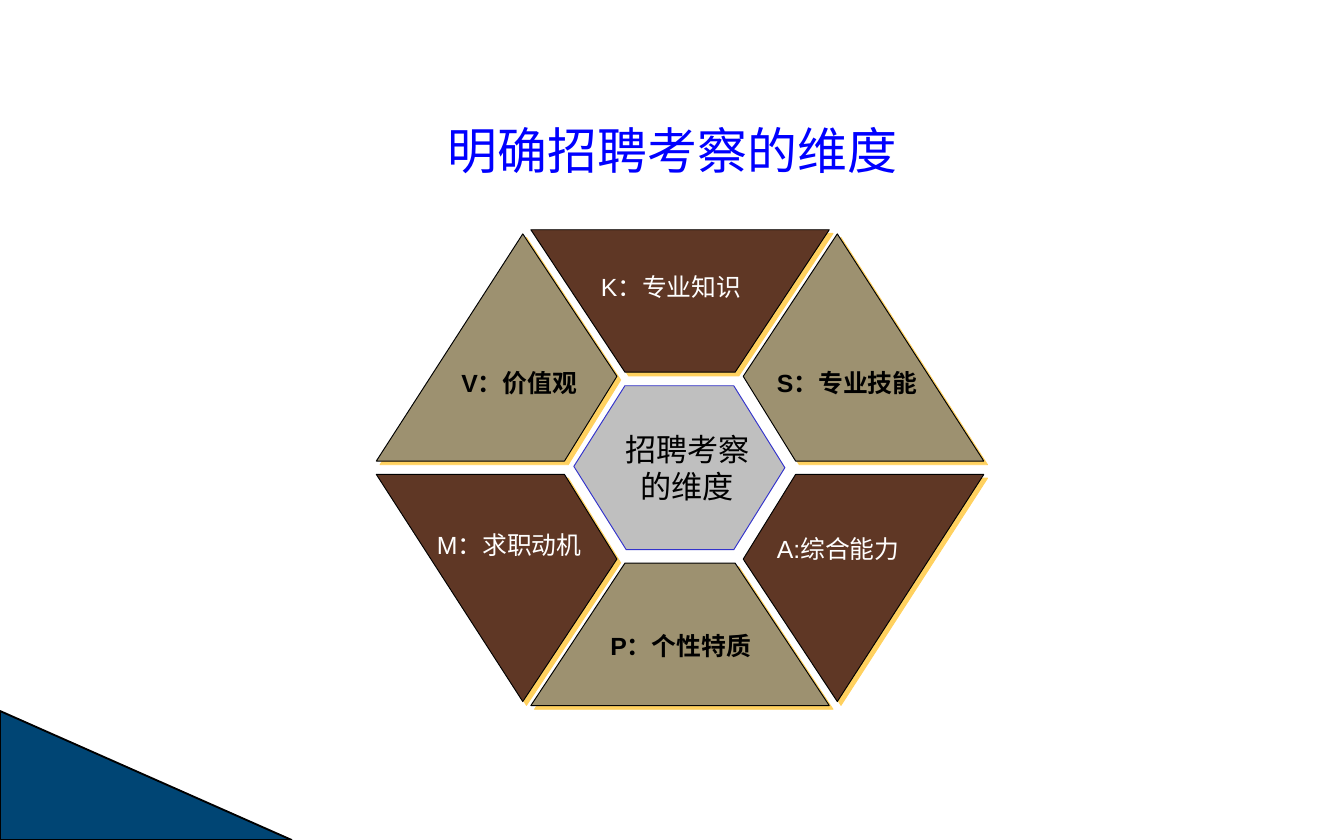
from lxml import etree
from pptx import Presentation
from pptx.dml.color import RGBColor
from pptx.enum.shapes import MSO_SHAPE
from pptx.enum.text import MSO_ANCHOR, PP_ALIGN
from pptx.oxml.ns import qn
from pptx.util import Inches, Pt

TRIANGLE = MSO_SHAPE.RIGHT_TRIANGLE
MIDDLE = MSO_ANCHOR.MIDDLE
LEFT, CENTER = PP_ALIGN.LEFT, PP_ALIGN.CENTER

WIDTH, HEIGHT = Inches(10), Inches(6.25)
HUB_X, HUB_Y = 50.6, 34.8
COLORS = {
    "title": "0000FF", "corner": "004574", "hub": "BFBFBF", "hub_edge": "3333CC",
    "tan": "9D9170", "brown": "5F3725", "shadow": "FFD15F",
    "black": "000000", "white": "FFFFFF",
}

HUB = [(-4.1, -6.1), (4, -6.1), (7.8, 0), (4, 6.1), (-4, 6.1), (-7.9, -0.1)]
END_WEDGE = [(-4.1, 7.1), (4.1, 7.1), (11.1, 17.7), (-11.1, 17.7)]
SIDE_WEDGE = [(8.6, 0.5), (4.7, 6.8), (11.7, 17.4), (22.6, 0.5)]

WEDGES = [
    (END_WEDGE, 1, 1, "tan"),
    (END_WEDGE, 1, -1, "brown"),
    (SIDE_WEDGE, -1, -1, "tan"),
    (SIDE_WEDGE, -1, 1, "brown"),
    (SIDE_WEDGE, 1, -1, "tan"),
    (SIDE_WEDGE, 1, 1, "brown"),
]

LABELS = [
    ("K：专业知识", 44.7, 20.2, 12.1, LEFT, "white"),
    ("P：个性特质", 44.6, 46.9, 12.1, CENTER, "black"),
    ("M：求职动机", 32.5, 39.4, 12.5, LEFT, "white"),
    ("V：价值观", 33.5, 27.4, 10.3, CENTER, "black"),
    ("A:综合能力", 57.8, 39.7, 10.6, LEFT, "white"),
    ("S：专业技能", 57.8, 27.4, 10.9, LEFT, "black"),
]


def share(percent):
    """Return a length given as a percentage of the slide width."""
    return round(WIDTH * percent / 100)


def rgb(name):
    """Look up a named colour."""
    return RGBColor.from_string(COLORS[name])


def paint(shape, fill, edge="black", weight=0.5):
    """Give a shape a flat fill and outline without the theme shadow."""
    shape.shadow.inherit = False
    shape.fill.solid()
    shape.fill.fore_color.rgb = rgb(fill)
    shape.line.color.rgb = rgb(edge)
    shape.line.width = Pt(weight)


def cast_shadow(shape):
    """Add a hard shadow falling to the lower right."""
    effects = shape._element.spPr.find(qn("a:effectLst"))
    shadow = etree.SubElement(effects, qn("a:outerShdw"), blurRad="0",
                              dist=str(Pt(2.8)), dir="2700000",
                              algn="ctr", rotWithShape="0")
    etree.SubElement(shadow, qn("a:srgbClr"), val=COLORS["shadow"])


def add_outline(slide, offsets, flip_x=1, flip_y=1):
    """Draw a closed outline from offsets mirrored about the hub centre."""
    points = [(share(HUB_X + flip_x * x), share(HUB_Y + flip_y * y))
              for x, y in offsets]
    builder = slide.shapes.build_freeform(*points[0])
    builder.add_line_segments(points[1:], close=True)
    return builder.convert_to_shape()


def write(frame, text, size, color, align=CENTER, bold=False,
          latin="Arial", asian="Noto Sans CJK SC", margins=(0, 0)):
    """Fill a text frame with one formatted, vertically centred paragraph."""
    frame.word_wrap = True
    frame.vertical_anchor = MIDDLE
    frame.margin_left = frame.margin_right = share(margins[0])
    frame.margin_top = frame.margin_bottom = share(margins[1])
    paragraph = frame.paragraphs[0]
    paragraph.text = text
    paragraph.alignment = align
    font = paragraph.font
    font.size, font.bold, font.name = Pt(size), bold, latin
    font.color.rgb = rgb(color)
    defaults = paragraph._p.pPr.find(qn("a:defRPr"))
    etree.SubElement(defaults, qn("a:ea"), typeface=asian)


def add_label(slide, text, left, top, width, height, **style):
    """Place a text box without margins."""
    box = slide.shapes.add_textbox(*map(share, (left, top, width, height)))
    write(box.text_frame, text, **style)


def add_title(slide):
    """Move and format the title placeholder."""
    title = slide.shapes.title
    title.left, title.top, title.width, title.height = map(
        share, (29.4, 7.2, 41.3, 7.9))
    write(title.text_frame, "明确招聘考察的维度", 26.7, "title",
          latin="Noto Sans CJK JP", asian="Noto Sans CJK JP", margins=(0.8, 0.4))


def add_corner(slide):
    """Draw the triangle in the lower left corner."""
    corner = slide.shapes.add_shape(
        TRIANGLE, 0, HEIGHT - share(9.6), share(21.7), share(9.6))
    paint(corner, "corner", weight=1)


def add_hexagon(slide):
    """Draw the hub, its six wedges and all labels."""
    paint(add_outline(slide, HUB), "hub", "hub_edge")
    for offsets, flip_x, flip_y, fill in WEDGES:
        wedge = add_outline(slide, offsets, flip_x, flip_y)
        paint(wedge, fill)
        cast_shadow(wedge)
    add_label(slide, "招聘考察的维度", 46.2, 32, 9.9, 5.6,
              size=16.7, color="black", latin="Noto Sans CJK SC")
    for text, left, top, width, align, color in LABELS:
        add_label(slide, text, left, top, width, 2.2, size=13.3,
                  color=color, align=align, bold=color == "black")


def main():
    """Build and save the slide."""
    deck = Presentation()
    deck.slide_width, deck.slide_height = WIDTH, HEIGHT
    slide = deck.slides.add_slide(deck.slide_layouts[5])
    add_corner(slide)
    add_title(slide)
    add_hexagon(slide)
    deck.save("out.pptx")


if __name__ == "__main__":
    main()
